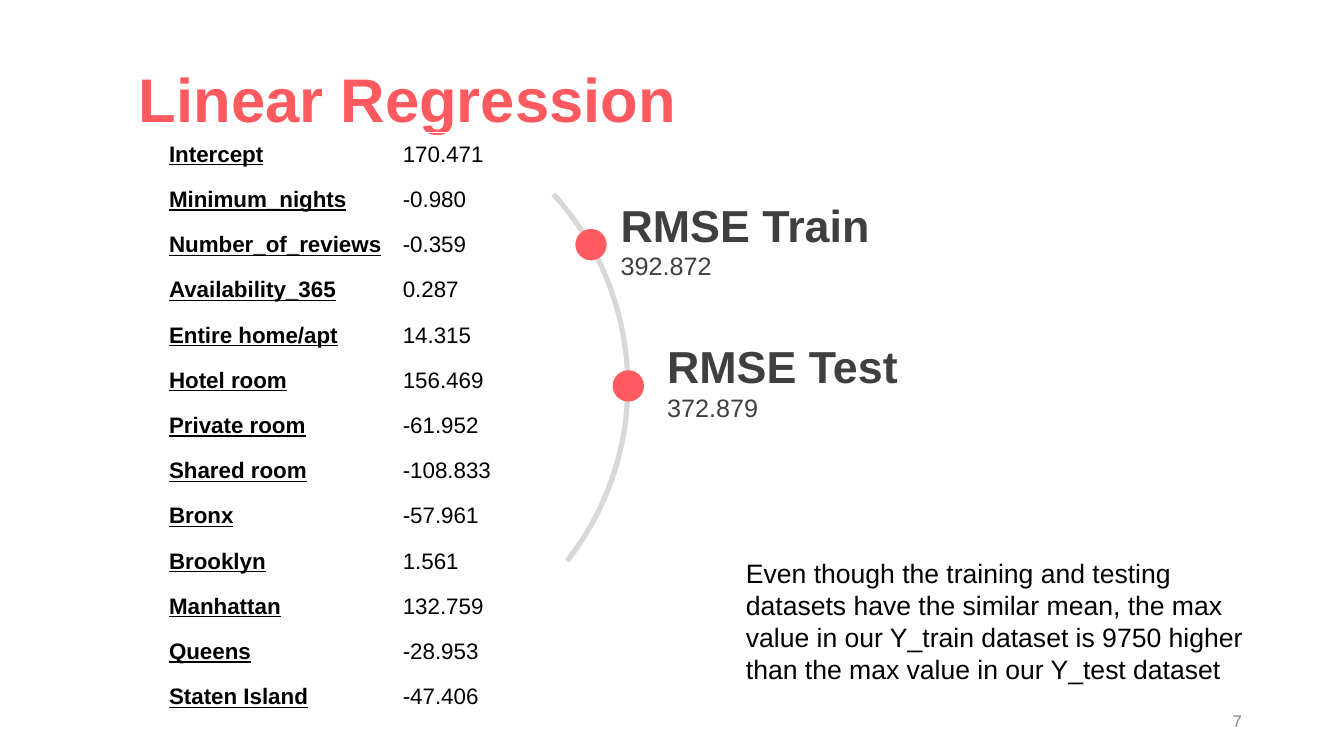
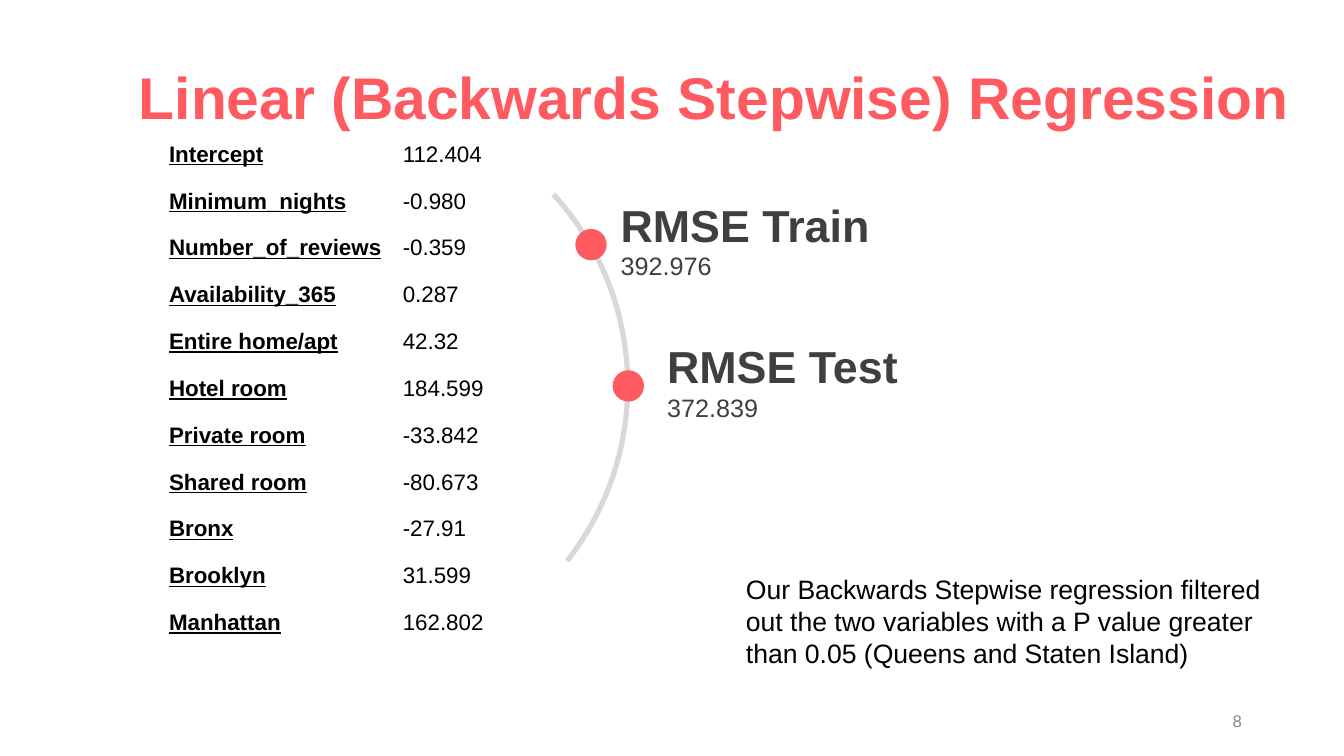
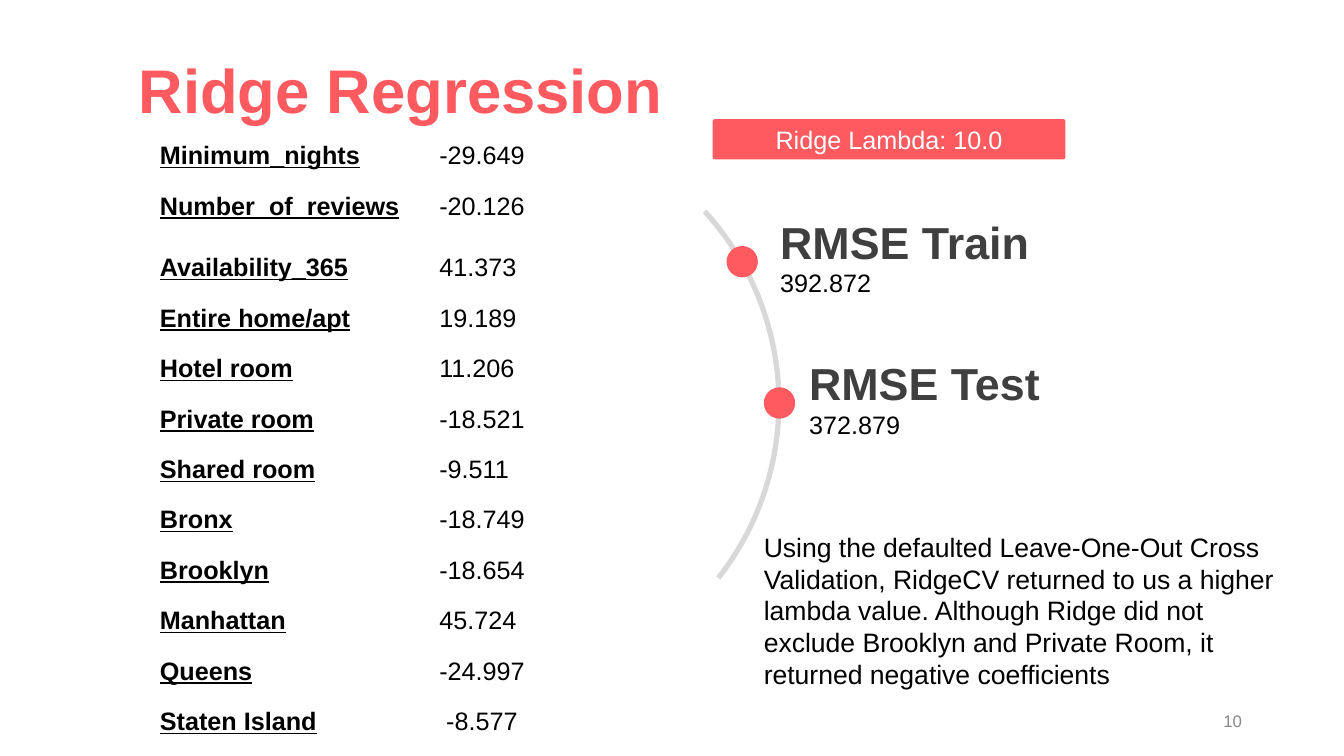
from dataclasses import dataclass

from pptx import Presentation
from pptx.dml.color import RGBColor
from pptx.enum.shapes import MSO_SHAPE
from pptx.enum.text import MSO_ANCHOR, PP_ALIGN
from pptx.shapes.autoshape import Shape
from pptx.slide import Slide
from pptx.text.text import TextFrame
from pptx.util import Cm, Pt

CORAL = RGBColor(0xFF, 0x5A, 0x5F)
CHARCOAL = RGBColor(0x3F, 0x3F, 0x3F)
LIGHT_GRAY = RGBColor(0xD8, 0xD8, 0xD8)
PAGE_GRAY = RGBColor(0x88, 0x88, 0x88)
BLACK = RGBColor(0, 0, 0)
WHITE = RGBColor(0xFF, 0xFF, 0xFF)

FONT = "Arial"
ARC_SIZE = 14.3
ARC_ANGLES = (317.57, 38.14)
ADJUSTMENT_PER_DEGREE = 0.6
DOT_SIZE = 0.79
DOT_OFFSETS = ((12.98, 3.2), (13.92, 6.76))
SCORE_OFFSETS = (2.54, 6.11)
SCORE_NAMES = ("RMSE Train", "RMSE Test")
VARIABLES = (
    "Minimum_nights", "Number_of_reviews", "Availability_365",
    "Entire home/apt", "Hotel room", "Private room", "Shared room",
    "Bronx", "Brooklyn", "Manhattan", "Queens", "Staten Island",
)


@dataclass(frozen=True)
class Box:
    left: float
    top: float
    width: float
    height: float

    def lengths(self) -> tuple[Cm, Cm, Cm, Cm]:
        return Cm(self.left), Cm(self.top), Cm(self.width), Cm(self.height)


@dataclass(frozen=True)
class TextStyle:
    size: float
    color: RGBColor
    bold: bool = False
    underline: bool = False
    align: PP_ALIGN = PP_ALIGN.LEFT
    line_spacing: float = 1.0


@dataclass(frozen=True)
class Coefficients:
    names: tuple[str, ...]
    values: tuple[str, ...]
    left: float
    column_widths: tuple[float, float]
    row_height: float
    text_size: float
    tall_rows: tuple[int, ...] = ()


@dataclass(frozen=True)
class Scores:
    arc_left: float
    arc_top: float
    label_lefts: tuple[float, float]
    values: tuple[str, str]
    value_color: RGBColor


@dataclass(frozen=True)
class ModelSlide:
    title: str
    title_box: Box
    title_size: float
    page: str
    coefficients: Coefficients
    scores: Scores
    note: str
    note_box: Box
    badge: str = ""


MODELS = (
    ModelSlide(
        "Linear Regression", Box(3.25, 1.4, 14.3, 2.13), 44, "7",
        Coefficients(
            ("Intercept",) + VARIABLES,
            ("170.471", "-0.980", "-0.359", "0.287", "14.315", "156.469", "-61.952",
             "-108.833", "-57.961", "1.561", "132.759", "-28.953", "-47.406"),
            4.01, (5.89, 6.88), 1.14, 16,
        ),
        Scores(1.52, 2.57, (15.39, 16.56), ("392.872", "372.879"), CHARCOAL),
        "Even though the training and testing datasets have the similar mean, "
        "the max value in our Y_train dataset is 9750 higher than the max value "
        "in our Y_test dataset",
        Box(18.8, 14, 13.39, 3.28),
    ),
    ModelSlide(
        "Linear (Backwards Stepwise) Regression", Box(3.25, 1.4, 30.28, 2.13), 42, "8",
        Coefficients(
            ("Intercept",) + VARIABLES[:-2],
            ("112.404", "-0.980", "-0.359", "0.287", "42.32", "184.599", "-33.842",
             "-80.673", "-27.91", "31.599", "162.802"),
            4.01, (5.89, 6.88), 1.18, 16,
        ),
        Scores(1.52, 2.57, (15.39, 16.56), ("392.976", "372.839"), CHARCOAL),
        "Our Backwards Stepwise regression filtered out the two variables with "
        "a P value greater than 0.05 (Queens and Staten Island)",
        Box(18.8, 14.4, 13.39, 2.46),
    ),
    ModelSlide(
        "Ridge Regression", Box(3.25, 1.19, 14.3, 2.13), 44, "10",
        Coefficients(
            VARIABLES,
            ("-29.649", "-20.126", "41.373", "19.189", "11.206", "-18.521", "-9.511",
             "-18.749", "-18.654", "45.724", "-24.997", " -8.577"),
            3.78, (7.04, 6.73), 1.27, 18, (1,),
        ),
        Scores(5.33, 3, (19.41, 20.14), ("392.872", "372.879"), BLACK),
        "Using the defaulted Leave-One-Out Cross Validation, RidgeCV returned to "
        "us a higher lambda value. Although Ridge did not exclude Brooklyn and "
        "Private Room, it returned negative coefficients",
        Box(19.25, 13.34, 13.39, 4.09),
        "Ridge Lambda: 10.0",
    ),
)


def write(frame: TextFrame, text: str, style: TextStyle) -> None:
    frame.word_wrap = True
    paragraph = frame.paragraphs[0]
    paragraph.alignment = style.align
    paragraph.line_spacing = style.line_spacing
    run = paragraph.add_run()
    run.text = text
    run.font.name = FONT
    run.font.size = Pt(style.size)
    run.font.color.rgb = style.color
    run.font.bold = style.bold
    run.font.underline = style.underline


def add_text(parent: Slide, box: Box, text: str, style: TextStyle) -> TextFrame:
    frame = parent.shapes.add_textbox(*box.lengths()).text_frame
    write(frame, text, style)
    return frame


def add_filled(slide: Slide, kind: MSO_SHAPE, box: Box) -> Shape:
    shape = slide.shapes.add_shape(kind, *box.lengths())
    shape.shadow.inherit = False
    shape.fill.solid()
    shape.fill.fore_color.rgb = CORAL
    shape.line.fill.background()
    return shape


def add_coefficients(slide: Slide, data: Coefficients) -> None:
    box = Box(data.left, 3.33, sum(data.column_widths), data.row_height * len(data.names))
    table = slide.shapes.add_table(len(data.names), 2, *box.lengths()).table
    table.first_row = False
    table.horz_banding = False
    for column, width in zip(table.columns, data.column_widths):
        column.width = Cm(width)
    styles = (
        TextStyle(data.text_size, BLACK, bold=True, underline=True),
        TextStyle(data.text_size, BLACK),
    )
    for index, texts in enumerate(zip(data.names, data.values)):
        extra = 0.28 if index in data.tall_rows else 0
        table.rows[index].height = Cm(data.row_height + extra)
        for column, (text, style) in enumerate(zip(texts, styles)):
            cell = table.cell(index, column)
            cell.fill.background()
            cell.margin_left = cell.margin_right = cell.margin_top = Cm(0.25)
            cell.margin_bottom = Cm(0.1)
            write(cell.text_frame, text, style)


def add_scores(slide: Slide, scores: Scores) -> None:
    arc_box = Box(scores.arc_left, scores.arc_top, ARC_SIZE, ARC_SIZE)
    arc = slide.shapes.add_shape(MSO_SHAPE.ARC, *arc_box.lengths())
    arc.shadow.inherit = False
    arc.fill.background()
    arc.line.color.rgb = LIGHT_GRAY
    arc.line.width = Pt(3.75)
    for index, angle in enumerate(ARC_ANGLES):
        arc.adjustments[index] = angle * ADJUSTMENT_PER_DEGREE
    for across, down in DOT_OFFSETS:
        dot_box = Box(scores.arc_left + across, scores.arc_top + down, DOT_SIZE, DOT_SIZE)
        add_filled(slide, MSO_SHAPE.OVAL, dot_box)
    name_style = TextStyle(32, CHARCOAL, bold=True, line_spacing=0.8)
    value_style = TextStyle(18, scores.value_color)
    for name, value, left, offset in zip(
        SCORE_NAMES, scores.values, scores.label_lefts, SCORE_OFFSETS
    ):
        top = scores.arc_top + offset
        add_text(slide, Box(left, top, 8, 1.37), name, name_style)
        add_text(slide, Box(left, top + 1.07, 6.17, 1.02), value, value_style)


def add_badge(slide: Slide, text: str) -> None:
    badge = add_filled(slide, MSO_SHAPE.ROUNDED_RECTANGLE, Box(17.96, 3, 8.89, 1.02))
    badge.adjustments[0] = 0.06
    badge.text_frame.vertical_anchor = MSO_ANCHOR.MIDDLE
    write(badge.text_frame, text, TextStyle(18, WHITE, align=PP_ALIGN.CENTER))


def add_note(slide: Slide, box: Box, text: str) -> None:
    frame = add_text(slide, box, text, TextStyle(19, BLACK))
    frame.margin_left = frame.margin_right = frame.margin_bottom = 0
    frame.margin_top = Cm(0.03)


def add_model(slide: Slide, model: ModelSlide) -> None:
    add_text(slide, model.title_box, model.title, TextStyle(model.title_size, CORAL, bold=True))
    page_style = TextStyle(12, PAGE_GRAY, align=PP_ALIGN.RIGHT)
    page = add_text(slide, Box(23.93, 17.65, 7.62, 1.02), model.page, page_style)
    page.vertical_anchor = MSO_ANCHOR.MIDDLE
    add_coefficients(slide, model.coefficients)
    if model.badge:
        add_badge(slide, model.badge)
    add_scores(slide, model.scores)
    add_note(slide, model.note_box, model.note)


def main() -> None:
    presentation = Presentation()
    presentation.slide_width = Cm(33.87)
    presentation.slide_height = Cm(19.05)
    blank = presentation.slide_layouts[6]
    for model in MODELS:
        add_model(presentation.slides.add_slide(blank), model)
    presentation.save("out.pptx")


if __name__ == "__main__":
    main()
